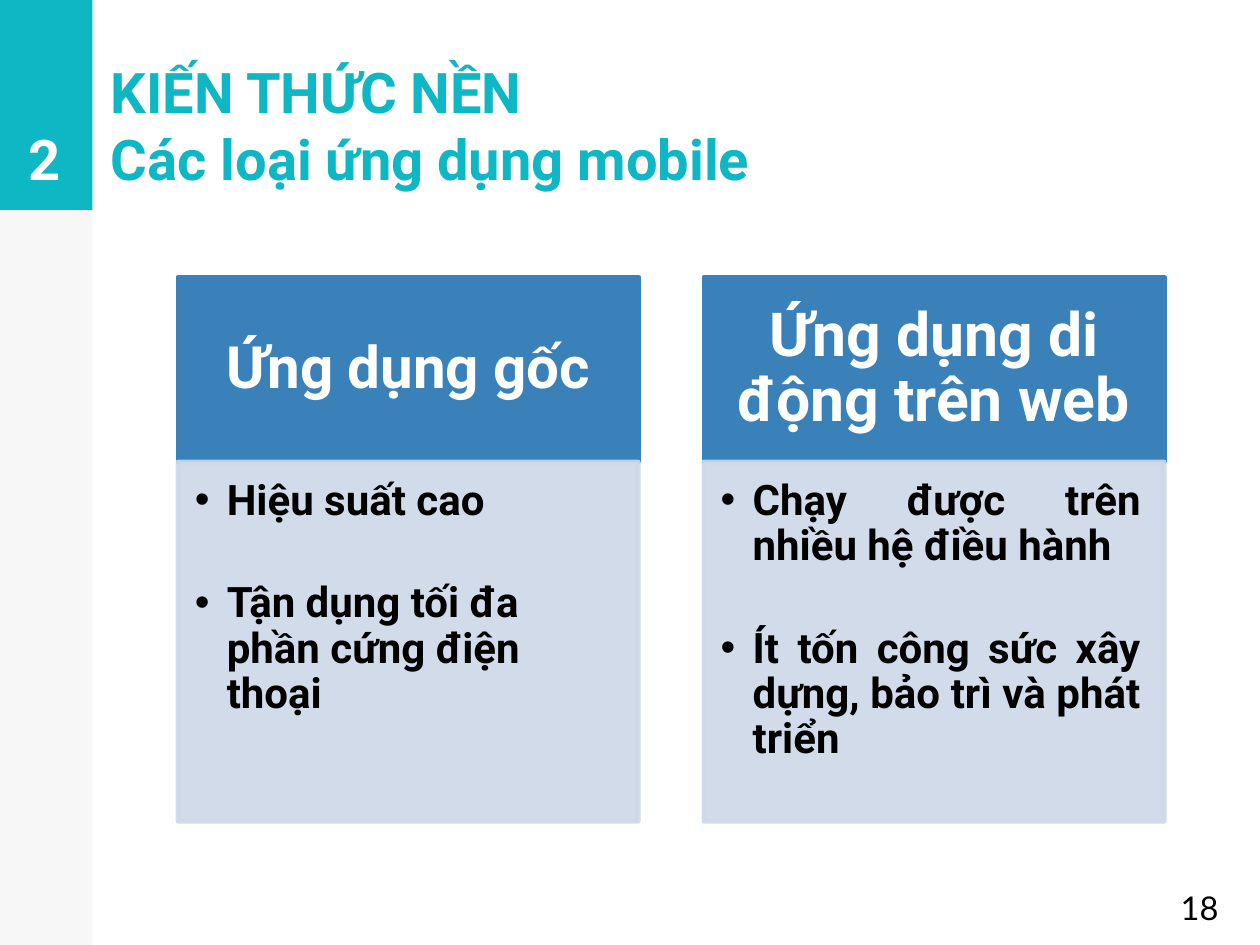
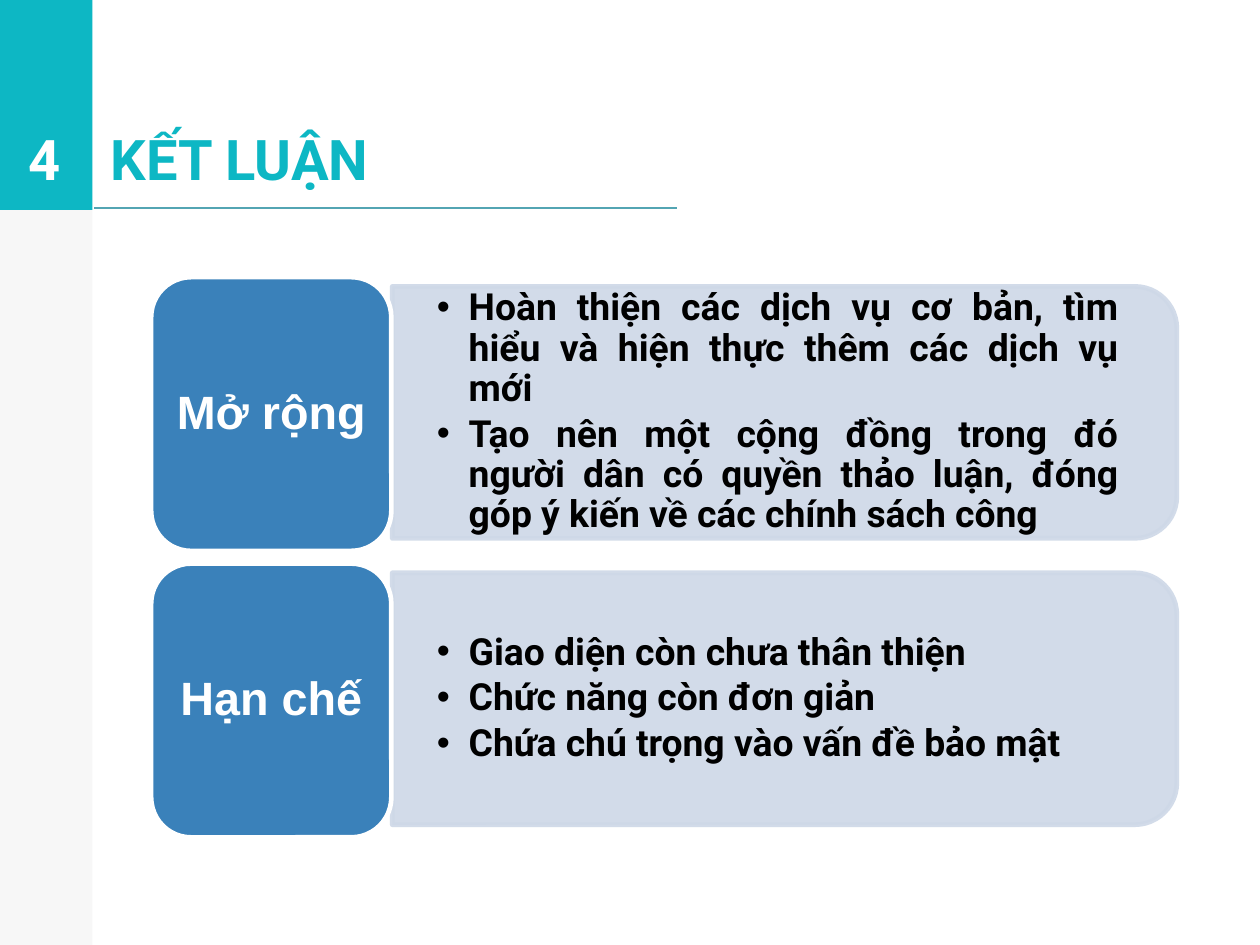
from dataclasses import dataclass
from typing import Any, NamedTuple

from lxml import etree
from pptx import Presentation
from pptx import util as u
from pptx.dml import color
from pptx.enum import shapes, text
from pptx.oxml import ns

COLS = 75
ROWS = 56.25
CELL = u.Inches(0.1)
LEFT, MID, JUST = text.PP_ALIGN.LEFT, text.PP_ALIGN.CENTER, text.PP_ALIGN.JUSTIFY
TOP, CORE, BASE = text.MSO_ANCHOR.TOP, text.MSO_ANCHOR.MIDDLE, text.MSO_ANCHOR.BOTTOM
RECT = shapes.MSO_SHAPE.RECTANGLE
TAB = shapes.MSO_SHAPE.ROUNDED_RECTANGLE
FLAG = shapes.MSO_SHAPE.ROUND_2_SAME_RECTANGLE


class Box(NamedTuple):
    col: float
    row: float
    wide: float
    high: float

    def shift(self, col: float = 0, row: float = 0) -> "Box":
        return self._replace(col=self.col + col, row=self.row + row)

    def upright(self) -> "Box":
        gap = (self.wide - self.high) / 2
        return Box(self.col + gap, self.row - gap, self.high, self.wide)

    def cells(self) -> list[int]:
        return [span(n) for n in self]


class Pad(NamedTuple):
    left: float = 1
    top: float = 1
    right: float = 1
    bottom: float = 1


@dataclass(frozen=True)
class Theme:
    teal: str = "0DB7C4"
    rule: str = "53A5B3"
    blue: str = "3A81BA"
    pale: str = "CED8E7"
    white: str = "FFFFFF"
    black: str = "000000"
    main: str = "Roboto"
    tab: str = "Arial"
    page: str = "Lato"
    title: int = 24
    label: int = 20
    list: int = 18
    note: int = 16
    foot: int = 14


T = Theme()


@dataclass(frozen=True)
class Style:
    size: float
    ink: str
    face: str = T.main
    bold: bool = True
    align: Any = LEFT
    anchor: Any = TOP
    pad: Pad = Pad()
    lead: float = 1
    after: float = 0
    hang: float = 0


@dataclass(frozen=True)
class Card:
    head: str
    items: tuple[str, ...]
    align: Any = LEFT
    size: int = T.label


def span(n: float) -> int:
    return round(n * CELL)


def rgb(tone: str) -> color.RGBColor:
    return color.RGBColor.from_string(tone)


def write(item: Any, lines: tuple[str, ...], look: Style) -> None:
    frame = item.text_frame
    frame.word_wrap = True
    frame.auto_size = text.MSO_AUTO_SIZE.NONE
    frame.vertical_anchor = look.anchor
    frame.margin_left, frame.margin_top, frame.margin_right, frame.margin_bottom = map(span, look.pad)
    frame.text = "\n".join(lines)
    for para in frame.paragraphs:
        para.alignment = look.align
        para.line_spacing = look.lead
        para.space_before = u.Pt(0)
        para.space_after = u.Pt(look.after)
        font = para.font
        font.name, font.size, font.bold = look.face, u.Pt(look.size), look.bold
        font.color.rgb = rgb(look.ink)
        if look.hang:
            props = para._p.get_or_add_pPr()
            props.set("marL", str(span(look.hang)))
            props.set("indent", str(-span(look.hang)))


def place(slide: Any, item: Any, box: Box) -> None:
    item.left, item.top, item.width, item.height = box.cells()
    slide.shapes.element.append(item.element)


def fill(slide: Any, idx: int, box: Box, lines: tuple[str, ...], look: Style) -> None:
    item = slide.placeholders[idx]
    place(slide, item, box)
    write(item, lines, look)


def label(slide: Any, box: Box, line: str, look: Style) -> None:
    write(slide.shapes.add_textbox(*box.cells()), (line,), look)


def block(slide: Any, kind: Any, box: Box, tone: str, edge: str = "", alpha: int = 100) -> Any:
    item = slide.shapes.add_shape(kind, *box.cells())
    item.shadow.inherit = False
    item.fill.solid()
    item.fill.fore_color.rgb = rgb(tone)
    if edge:
        item.line.color.rgb = rgb(edge)
        item.line.width = u.Pt(2)
    else:
        item.line.fill.background()
    if alpha < 100:
        for node in item.element.spPr.iter(ns.qn("a:srgbClr")):
            etree.SubElement(node, ns.qn("a:alpha")).set("val", str(alpha * 1000))
    return item


def bands(deck: Any, slide: Any) -> None:
    tree = deck.slide_master.shapes.element
    side = block(slide, RECT, Box(0, 0, 5.5, ROWS), T.black, alpha=3)
    flag = block(slide, RECT, Box(0, 0, 5.5, 12.5), T.teal)
    for spot, item in enumerate((side, flag), 2):
        tree.insert(spot, item.element)


def start(slide: Any, num: str, title: str) -> None:
    label(slide, Box(0.7, -0.1, 7.3, 12.5), num, Style(T.title, T.white, anchor=BASE))
    fill(slide, 0, Box(5.6, -0.1, 59.6, 12.5), (title,), Style(T.title, T.teal, anchor=BASE))


def rule(slide: Any) -> None:
    ends = map(span, (5.6, 12.4, 40.3, 12.4))
    line = slide.shapes.add_connector(shapes.MSO_CONNECTOR.STRAIGHT, *ends)
    line.line.color.rgb = rgb(T.rule)
    line.line.width = u.Pt(0.75)
    etree.SubElement(line.element.spPr, ns.qn("a:effectLst"))


def pair(slide: Any, cards: tuple[Card, ...]) -> None:
    for n, card in enumerate(cards):
        head = Box(10.6, 16.5, 27.4, 11).shift(col=31.3 * n)
        body = head.shift(row=head.high)._replace(high=21.4)
        block(slide, RECT, head, T.blue, T.blue)
        block(slide, RECT, body, T.pale, T.pale, 90)
        top = Style(card.size, T.white, align=MID, anchor=CORE, pad=Pad(1.9, 1.1, 1.9, 1.1), lead=0.9)
        low = Style(T.list, T.black, align=card.align, pad=Pad(1, 1, 1.4, 1.6), lead=0.9, after=24.6, hang=1.9)
        fill(slide, 1 + 2 * n, head, (card.head,), top)
        fill(slide, 2 + 2 * n, body, card.items, low)


def stack(slide: Any, cards: tuple[Card, ...]) -> None:
    for n, card in enumerate(cards):
        down = 17.05 * n
        tab = Box(9, 16.5, 14.3, 16.3).shift(row=down)
        panel = Box(23.35, 17.05, 46.7, 15).shift(row=down)
        back = block(slide, FLAG, panel.upright(), T.pale, T.pale, 90)
        back.rotation = 90
        block(slide, TAB, tab, T.blue, T.white)
        inner = Box(tab.col + 0.7, tab.row + 0.7, tab.wide - 1.4, tab.high - 1.4)
        words = Box(23.3, 17.8, 46, 13.5).shift(row=down)
        top = Style(card.size, T.white, T.tab, align=MID, anchor=CORE, pad=Pad(0.8, 0.4, 0.8, 0.4), lead=0.9)
        low = Style(T.note, T.black, align=card.align, anchor=CORE, pad=Pad(2.7, 1.4, 2.7, 1.4),
                    lead=0.9, after=2.4, hang=1.9)
        fill(slide, 1 + 2 * n, inner, (card.head,), top)
        fill(slide, 2 + 2 * n, words, card.items, low)


KINDS = (
    Card("Ứng dụng gốc", ("Hiệu suất cao", "Tận dụng tối đa phần cứng điện thoại"), size=25),
    Card("Ứng dụng di động trên web",
         ("Chạy được trên nhiều hệ điều hành", "Ít tốn công sức xây dựng, bảo trì và phát triển"),
         JUST, 26),
)
ENDS = (
    Card("Mở rộng",
         ("Hoàn thiện các dịch vụ cơ bản, tìm hiểu và hiện thực thêm các dịch vụ mới",
          "Tạo nên một cộng đồng trong đó người dân có quyền thảo luận, đóng góp ý kiến về các chính sách công"),
         JUST),
    Card("Hạn chế",
         ("Giao diện còn chưa thân thiện", "Chức năng còn đơn giản", "Chứa chú trọng vào vấn đề bảo mật")),
)


def main() -> None:
    deck = Presentation()
    deck.slide_width, deck.slide_height = span(COLS), span(ROWS)
    plan = deck.slide_layouts.get_by_name("Comparison")
    first, last = (deck.slides.add_slide(plan) for _ in range(2))
    bands(deck, first)
    start(first, "2", "KIẾN THỨC NỀN\vCác loại ứng dụng mobile")
    pair(first, KINDS)
    label(first, Box(69.3, 52.4, 4.6, 3.8), "18", Style(T.foot, T.black, T.page, False, anchor=BASE))
    start(last, "4", "KẾT LUẬN")
    rule(last)
    stack(last, ENDS)
    deck.save("out.pptx")


if __name__ == "__main__":
    main()
